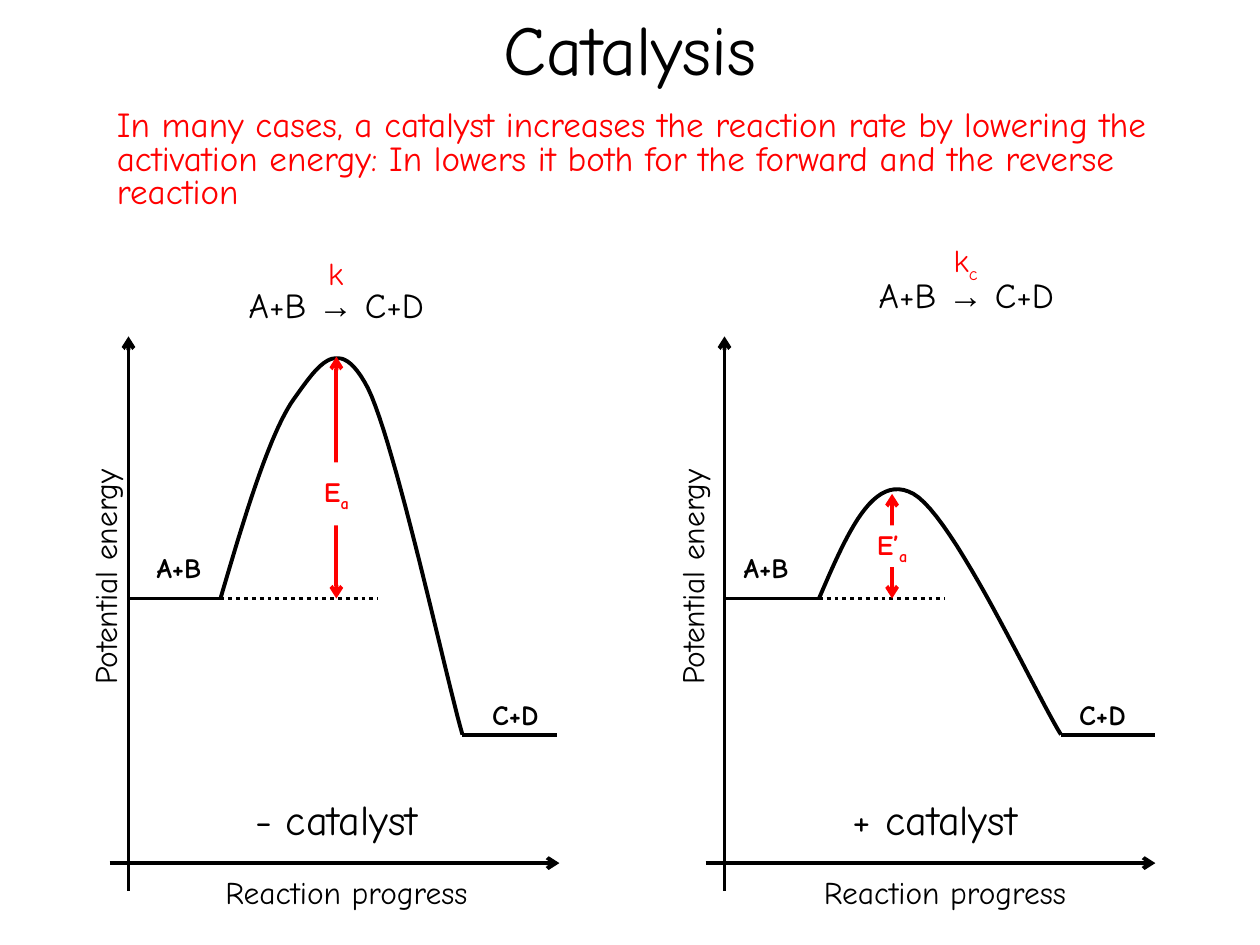
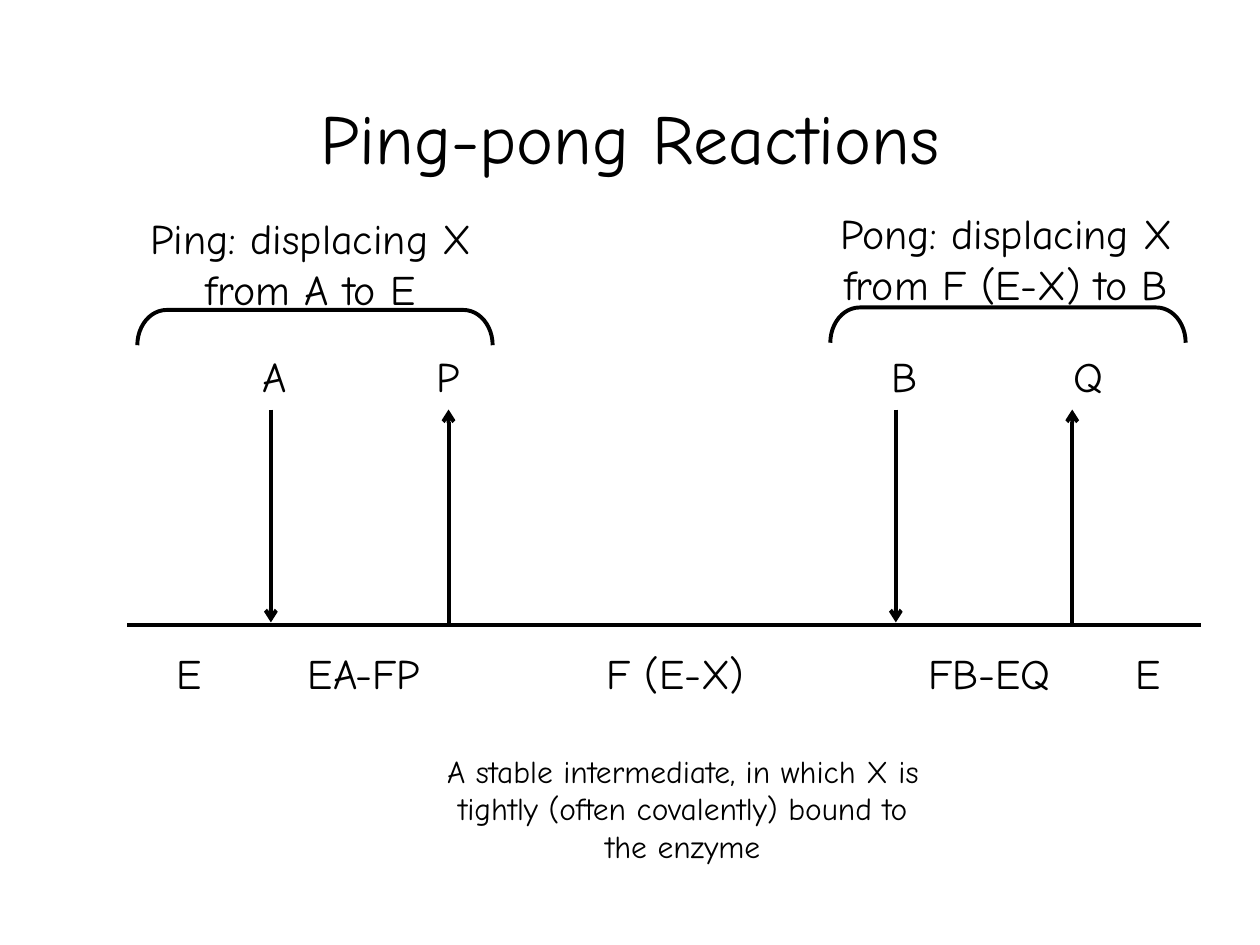
"""Build two slides on catalysis and ping-pong enzyme reactions."""
from dataclasses import dataclass
from typing import NamedTuple

from lxml.etree import SubElement
from pptx import Presentation
from pptx.dml.color import RGBColor
from pptx.enum.dml import MSO_LINE
from pptx.enum.shapes import MSO_CONNECTOR, MSO_SHAPE
from pptx.enum.text import MSO_ANCHOR, PP_ALIGN
from pptx.oxml.ns import qn
from pptx.shapes.autoshape import Shape
from pptx.shapes.connector import Connector
from pptx.slide import Slide
from pptx.util import Emu, Pt

PX = 9144
COLORS = {"ink": "000000", "accent": "FF0000", "paper": "FFFFFF"}
FONT = "Comic Neue"
ARROW_FONT = "Arial"
LINE_WIDTH = Pt(2.25)
BOTTOM = 2
BASELINE, PRODUCT_LEVEL, PROGRESS_AXIS = 475, 583, 685


class Box(NamedTuple):
    left: int
    top: int
    width: int
    height: int


class Piece(NamedTuple):
    text: str
    font: str = FONT
    subscript: bool = False


class Point(NamedTuple):
    x: int
    y: int


class Bezier(NamedTuple):
    start: Point
    pull: Point
    push: Point
    end: Point


@dataclass
class Style:
    size: int
    color: str = "ink"
    bold: bool = False
    filled: bool = False
    wrap: bool = False
    rotation: int = 0


@dataclass
class EnergyDiagram:
    catalyst: str
    rate: list[Piece]
    barrier: list[Piece]
    axis_x: int
    reactant_x: int
    product_x: int
    dots_x: int
    label_x: int
    equation: Point
    barrier_x: int
    peak_y: int
    barrier_top: int
    barrier_height: int
    hill: list[Bezier]


@dataclass
class Substrate:
    name: str
    box_left: int
    arrow_x: int
    binds: bool


TITLE = Style(40, wrap=True)
AXIS_TITLE = Style(18)
STATE = Style(16, bold=True)
BARRIER = Style(16, "accent", bold=True, filled=True)
EQUATION = Style(20, filled=True)
RATE = Style(18, "accent", filled=True)
SPECIES = Style(24, filled=True)
STEP = Style(24, wrap=True)


def rgb(name: str) -> RGBColor:
    """Look up a named colour."""
    return RGBColor.from_string(COLORS[name])


def emu(*lengths: float) -> list[Emu]:
    """Turn px lengths into EMU."""
    return [Emu(round(length * PX)) for length in lengths]


def add_text(slide: Slide, box: Box, pieces: list[Piece], style: Style) -> Shape:
    """Place centred text, on a paper-coloured rectangle if filled."""
    if style.filled:
        holder = slide.shapes.add_shape(MSO_SHAPE.RECTANGLE, *emu(*box))
        holder.shadow.inherit = False
        holder.fill.solid()
        holder.fill.fore_color.rgb = rgb("paper")
        holder.line.fill.background()
    else:
        holder = slide.shapes.add_textbox(*emu(*box))
    holder.rotation = style.rotation
    frame = holder.text_frame
    frame.word_wrap = style.wrap
    frame.vertical_anchor = MSO_ANCHOR.MIDDLE
    paragraph = frame.paragraphs[0]
    paragraph.alignment = PP_ALIGN.CENTER
    for piece in pieces:
        run = paragraph.add_run()
        run.text = piece.text
        run.font.name = piece.font
        run.font.size = Pt(style.size)
        run.font.bold = style.bold
        run.font.color.rgb = rgb(style.color)
        if piece.subscript:
            run.font._element.set("baseline", "-25000")
    return holder


def ink_line(stroke: Shape | Connector, color: str = "ink") -> None:
    """Give an outline the shared width and a colour."""
    stroke.line.width = LINE_WIDTH
    stroke.line.color.rgb = rgb(color)


def add_line(slide: Slide, start: Point, end: Point, color: str = "ink",
             head: bool = False, tail: bool = False, dotted: bool = False) -> Connector:
    """Draw a straight line with optional arrowheads."""
    line = slide.shapes.add_connector(MSO_CONNECTOR.STRAIGHT, *emu(*start, *end))
    ink_line(line, color)
    if dotted:
        line.line.dash_style = MSO_LINE.ROUND_DOT
    properties = line._element.spPr
    for tag, wanted in (("a:headEnd", head), ("a:tailEnd", tail)):
        if wanted:
            SubElement(properties.find(qn("a:ln")), qn(tag), type="arrow")
    SubElement(properties, qn("a:effectLst"))
    return line


def bezier_point(curve: Bezier, t: float) -> tuple[float, float]:
    """Find the point at fraction t of a cubic curve."""
    weights = ((1 - t) ** 3, 3 * t * (1 - t) ** 2, 3 * t * t * (1 - t), t ** 3)
    x = sum(weight * point.x for weight, point in zip(weights, curve))
    y = sum(weight * point.y for weight, point in zip(weights, curve))
    return x * PX, y * PX


def add_hill(slide: Slide, curves: list[Bezier], steps: int = 24) -> None:
    """Draw joined cubic curves as one open outline."""
    points = [bezier_point(curve, step / steps)
              for curve in curves for step in range(1, steps + 1)]
    builder = slide.shapes.build_freeform(*bezier_point(curves[0], 0))
    builder.add_line_segments(points, close=False)
    hill = builder.convert_to_shape()
    hill.shadow.inherit = False
    hill.fill.background()
    ink_line(hill)


def add_bracket(slide: Slide, center: Point) -> None:
    """Draw a wide bracket that opens downwards."""
    width, height = 28, 282
    bracket = slide.shapes.add_shape(MSO_SHAPE.LEFT_BRACKET, *emu(
        center.x - width / 2, center.y - height / 2, width, height))
    bracket.adjustments[0] = 0.83
    bracket.rotation = 90
    bracket.shadow.inherit = False
    bracket.fill.background()
    ink_line(bracket)


def draw_energy(slide: Slide, diagram: EnergyDiagram) -> None:
    """Draw one potential energy diagram with its labels."""
    axis, reactant, product = diagram.axis_x, diagram.reactant_x, diagram.product_x
    label, equation = diagram.label_x, diagram.equation
    add_line(slide, Point(axis, 707), Point(axis, 267), tail=True)
    add_line(slide, Point(axis - 15, PROGRESS_AXIS), Point(axis + 342, PROGRESS_AXIS), tail=True)
    add_line(slide, Point(axis, BASELINE), Point(reactant, BASELINE))
    add_line(slide, Point(product, PRODUCT_LEVEL), Point(product + 75, PRODUCT_LEVEL))
    add_hill(slide, diagram.hill)
    add_line(slide, Point(diagram.dots_x, BASELINE), Point(diagram.dots_x + 125, BASELINE),
             dotted=True)

    equation_box = Box(equation.x, equation.y, 268, 83)
    reaction = add_text(slide, equation_box,
                        [Piece("A+B "), Piece("→", ARROW_FONT), Piece(" C+D")], EQUATION)
    add_text(slide, Box(equation.x + 117, equation.y + 8, 33, 17), diagram.rate, RATE)
    climb = add_line(slide, Point(diagram.barrier_x, diagram.peak_y),
                     Point(diagram.barrier_x, BASELINE), "accent", head=True, tail=True)
    if diagram.peak_y == equation_box.top + equation_box.height:
        climb.begin_connect(reaction, BOTTOM)
    add_text(slide, Box(diagram.barrier_x - 25, diagram.barrier_top, 50, diagram.barrier_height),
             diagram.barrier, BARRIER)

    add_text(slide, Box(reactant - 50, 683, 300, 50), [Piece("Reaction progress")], AXIS_TITLE)
    add_text(slide, Box(label - 184, 433, 300, 50), [Piece("Potential energy")],
             Style(18, rotation=270))
    add_text(slide, Box(label - 20, 425, 90, 50), [Piece("A+B")], STATE)
    add_text(slide, Box(label + 247, 542, 90, 50), [Piece("C+D")], STATE)
    add_text(slide, Box(reactant - 33, 625, 250, 50), [Piece(diagram.catalyst)], SPECIES)


def draw_substrate(slide: Slide, substrate: Substrate, enzyme_y: int) -> None:
    """Draw a substrate or product with its arrow to the enzyme line."""
    box = Box(substrate.box_left, 271, 78, 54)
    name = add_text(slide, box, [Piece(substrate.name)], SPECIES)
    bottom = box.top + box.height
    arrow_end = enzyme_y - 2 if substrate.binds else enzyme_y
    arrow = add_line(slide, Point(substrate.arrow_x, bottom),
                     Point(substrate.arrow_x, arrow_end),
                     head=not substrate.binds, tail=substrate.binds)
    if substrate.arrow_x == box.left + box.width / 2:
        arrow.begin_connect(name, BOTTOM)


def build_catalysis(slide: Slide) -> None:
    """Compare the reaction without and with a catalyst."""
    add_text(slide, Box(75, -25, 850, 125), [Piece("Catalysis")], TITLE)
    summary = add_text(slide, Box(83, 83, 850, 100), [Piece(
        "In many cases, a catalyst increases the reaction rate by lowering the activation "
        "energy: In lowers it both for the forward and the reverse reaction")],
        Style(20, "accent", wrap=True))
    summary.text_frame.vertical_anchor = MSO_ANCHOR.TOP
    paragraph = summary.text_frame.paragraphs[0]
    paragraph.alignment = PP_ALIGN.LEFT
    paragraph.line_spacing = 0.8
    paragraph.space_before = Pt(5)

    subscript_a = Piece("a", subscript=True)
    draw_energy(slide, EnergyDiagram(
        "- catalyst", [Piece("k")], [Piece("E"), subscript_a],
        axis_x=102, reactant_x=175, product_x=367, dots_x=175, label_x=117,
        equation=Point(133, 200), barrier_x=267, peak_y=283, barrier_top=367, barrier_height=50,
        hill=[Bezier(Point(175, 475), Point(194, 410), Point(214, 344), Point(233, 317)),
              Bezier(Point(233, 317), Point(253, 289), Point(269, 264), Point(292, 308)),
              Bezier(Point(292, 308), Point(314, 353), Point(354, 538), Point(367, 583))]))
    draw_energy(slide, EnergyDiagram(
        "+ catalyst", [Piece("k"), Piece("c", subscript=True)], [Piece("E’"), subscript_a],
        axis_x=575, reactant_x=650, product_x=842, dots_x=625, label_x=583,
        equation=Point(633, 192), barrier_x=708, peak_y=392, barrier_top=417, barrier_height=33,
        hill=[Bezier(Point(650, 475), Point(672, 424), Point(693, 374), Point(725, 392)),
              Bezier(Point(725, 392), Point(757, 410), Point(822, 551), Point(842, 583))]))


def build_ping_pong(slide: Slide) -> None:
    """Show the order of binding and release along the enzyme line."""
    enzyme_y = 496
    add_text(slide, Box(75, 46, 850, 125), [Piece("Ping-pong Reactions")], TITLE)
    add_line(slide, Point(101, enzyme_y), Point(953, enzyme_y))
    for form, left in (("E", 111), ("EA-FP", 250), ("F (E-X)", 497), ("FB-EQ", 746), ("E", 872)):
        add_text(slide, Box(left, 507, 78, 54), [Piece(form)], SPECIES)
    for substrate in (Substrate("A", 179, 215, True), Substrate("P", 317, 356, False),
                      Substrate("B", 679, 711, True), Substrate("Q", 825, 851, False)):
        draw_substrate(slide, substrate, enzyme_y)
    for step, box, center in (
            ("Ping: displacing X from A to E", Box(79, 182, 335, 54), Point(250, 260)),
            ("Pong: displacing X from F (E-X) to B", Box(631, 178, 335, 54), Point(800, 258))):
        add_bracket(slide, center)
        add_text(slide, box, [Piece(step)], STEP)
    add_text(slide, Box(339, 592, 406, 99), [Piece(
        "A stable intermediate, in which X is tightly (often covalently) bound to the enzyme")],
        Style(18, wrap=True))


def main() -> None:
    """Build and save the presentation."""
    deck = Presentation()
    deck.slide_width, deck.slide_height = emu(1000, 750)
    for build in (build_catalysis, build_ping_pong):
        build(deck.slides.add_slide(deck.slide_layouts[6]))
    deck.save("out.pptx")


if __name__ == "__main__":
    main()
